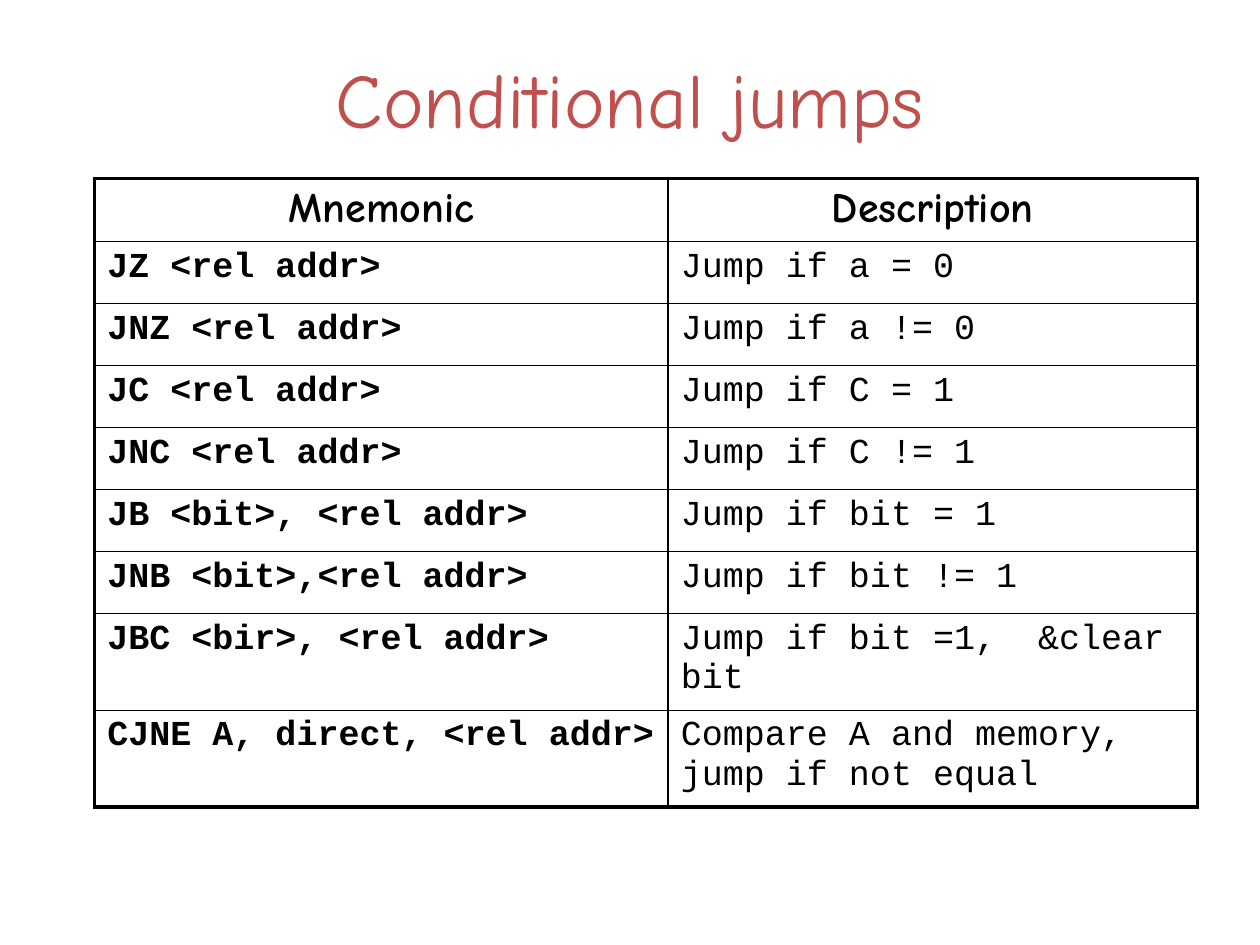
from lxml.etree import SubElement
from pptx import Presentation
from pptx.dml.color import RGBColor
from pptx.enum.text import MSO_ANCHOR, PP_ALIGN
from pptx.oxml.ns import qn
from pptx.util import Cm, Pt

COLORS = {"title": "C0504D", "ink": "000000"}
HEADING_FONT, CODE_FONT = "Comic Neue", "Courier New"
FORMATS = {
    "title": {"name": HEADING_FONT, "size": Pt(44), "bold": False},
    "header": {"name": HEADING_FONT, "size": Pt(24), "bold": True},
    "mnemonic": {"name": CODE_FONT, "size": Pt(20), "bold": True},
    "description": {"name": CODE_FONT, "size": Pt(20), "bold": False},
}
THIN, THICK = Pt(1), Pt(2.25)
COLUMN_WIDTHS = [Cm(11.56), Cm(10.67)]
ROW_HEIGHT, TALL_ROW_HEIGHT = Cm(1.25), Cm(1.85)
TALL_ROWS = 2

JUMPS = [
    ("Mnemonic", "Description"),
    ("JZ <rel addr>", "Jump if a = 0"),
    ("JNZ <rel addr>", "Jump if a != 0"),
    ("JC <rel addr>", "Jump if C = 1"),
    ("JNC <rel addr>", "Jump if C != 1"),
    ("JB <bit>, <rel addr>", "Jump if bit = 1"),
    ("JNB <bit>,<rel addr>", "Jump if bit != 1"),
    ("JBC <bir>, <rel addr>", "Jump if bit =1,  &clear bit"),
    ("CJNE A, direct, <rel addr>", "Compare A and memory, jump if not equal"),
]


def write(frame, text, style, color, align):
    paragraph = frame.paragraphs[0]
    paragraph.alignment = align
    run = paragraph.add_run()
    run.text = text
    for attribute, value in FORMATS[style].items():
        setattr(run.font, attribute, value)
    run.font.color.rgb = RGBColor.from_string(COLORS[color])


def add_title(slide, text):
    title = slide.shapes.add_textbox(Cm(1.27), Cm(0.92), Cm(22.86), Cm(2.2))
    title.text_frame.word_wrap = True
    title.text_frame.vertical_anchor = MSO_ANCHOR.TOP
    write(title.text_frame, text, "title", "title", PP_ALIGN.CENTER)


def set_borders(cell, widths):
    """Draw the left, right, top and bottom lines, given their widths."""
    properties = cell._tc.get_or_add_tcPr()
    for position, (side, width) in enumerate(widths.items()):
        line = properties.makeelement(qn(f"a:{side}"), {"w": str(int(width))})
        fill = SubElement(line, qn("a:solidFill"))
        SubElement(fill, qn("a:srgbClr"), val=COLORS["ink"])
        properties.insert(position, line)


def add_jump_table(slide, rows):
    last_row, last_column = len(rows) - 1, len(COLUMN_WIDTHS) - 1
    heights = [ROW_HEIGHT] * (len(rows) - TALL_ROWS) + [TALL_ROW_HEIGHT] * TALL_ROWS
    table = slide.shapes.add_table(
        len(rows), len(COLUMN_WIDTHS), Cm(1.91), Cm(3.6),
        sum(COLUMN_WIDTHS), sum(heights)).table
    table.first_row = table.horz_banding = False
    for column, width in zip(table.columns, COLUMN_WIDTHS):
        column.width = width
    for row, height in zip(table.rows, heights):
        row.height = height
    for r, texts in enumerate(rows):
        for c, text in enumerate(texts):
            cell = table.cell(r, c)
            cell.fill.background()
            set_borders(cell, {
                "lnL": THICK if c == 0 else THIN,
                "lnR": THICK if c == last_column else THIN,
                "lnT": THICK if r == 0 else THIN,
                "lnB": THICK if r == last_row else THIN,
            })
            style = "header" if r == 0 else ("mnemonic", "description")[c]
            align = PP_ALIGN.CENTER if r == 0 else PP_ALIGN.LEFT
            write(cell.text_frame, text, style, "ink", align)


def main():
    presentation = Presentation()
    presentation.slide_width, presentation.slide_height = Cm(25.4), Cm(19.05)
    slide = presentation.slides.add_slide(presentation.slide_layouts[6])
    add_title(slide, "Conditional jumps")
    add_jump_table(slide, JUMPS)
    presentation.save("out.pptx")


if __name__ == "__main__":
    main()
